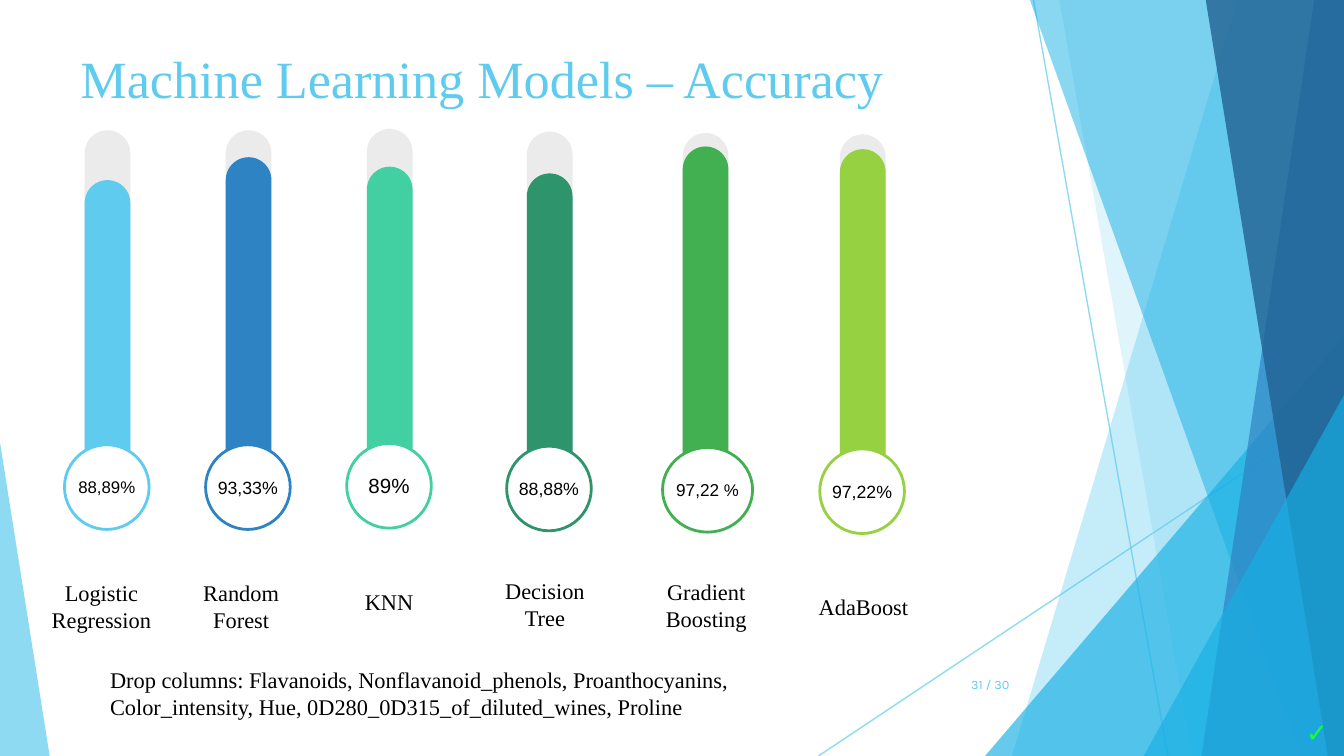
from dataclasses import dataclass

from lxml.etree import SubElement
from pptx import Presentation
from pptx.dml.color import RGBColor
from pptx.dml.fill import FillFormat
from pptx.enum.shapes import MSO_CONNECTOR, MSO_SHAPE
from pptx.enum.text import MSO_ANCHOR, MSO_AUTO_SIZE, PP_ALIGN
from pptx.oxml.ns import qn
from pptx.shapes.autoshape import Shape
from pptx.slide import Slide
from pptx.util import Inches, Pt

COLORS = {
    "sky": "5FCBEF", "cyan": "17B0E4", "blue": "2E83C3", "navy": "226292",
    "mint": "42D0A2", "forest": "2E946B", "green": "42B051", "lime": "96D141",
    "track": "EBEBEB", "white": "FFFFFF", "black": "000000", "check": "13FF3A",
}
SERIF, SANS, BRAND = "Times New Roman", "Arial", "Karla"
SLIDE_WIDTH = 10
SLIDE_HEIGHT = SLIDE_WIDTH * 9 / 16
BAND_TOP = -0.01
BAR_WIDTH, TRACK_HEIGHT = 0.34, 2.76
CIRCLE_SIZE, CIRCLE_DROP, LABEL_DROP = 0.63, 2.34, 3.17


@dataclass
class Band:
    """Decoration between a slanted left side and the right slide edge."""
    top_x: float
    bottom_x: float
    color: str
    opacity: int


@dataclass
class Triangle:
    left: float
    top: float
    width: float
    color: str
    opacity: int
    apex: int


@dataclass
class Gauge:
    left: float
    top: float
    level_top: float
    color: str
    value: tuple[tuple[str, float], ...]
    label: str
    label_left: float
    label_width: float
    label_height: float = 0.93
    label_bottom_inset: float = 0.34
    circle_width: float = CIRCLE_SIZE


DECORATIONS = [
    Band(9.21, 7.53, "sky", 36),
    Band(7.88, 8.87, "sky", 20),
    Triangle(7.33, 2.5, 2.67, "cyan", 66, 1),
    Band(7.66, 9.68, "cyan", 50),
    Band(9.78, 8.94, "blue", 70),
    Band(8.97, 9.88, "navy", 80),
    Triangle(8.51, 2.94, 1.49, "cyan", 66, 1),
    Triangle(0, 3.29, 0.37, "sky", 70, 0),
]

GAUGES = [
    Gauge(5.08, 0.99, 1.09, "green", (("97,22", 9.2), (" %", 9)),
          "Gradient Boosting", 4.75, 1.01, circle_width=0.67),
    Gauge(2.73, 0.96, 1.24, "mint", (("89%", 11),), "KNN", 2.36, 1.07, 0.7, 0.1),
    Gauge(3.92, 0.98, 1.29, "forest", (("88,88%", 9.5),), "Decision Tree", 3.53, 1.05),
    Gauge(0.63, 0.97, 1.34, "sky", (("88,89%", 9),),
          "Logistic Regression", 0.22, 1.07, 0.94, 0.3),
    Gauge(1.68, 0.97, 1.17, "blue", (("93,33%", 9.5),),
          "Random Forest", 1.26, 1.07, 0.94, 0.3),
    Gauge(6.25, 1, 1.11, "lime", (("97,22%", 9.5),), "AdaBoost", 5.92, 1.01),
]


def rgb(name: str) -> RGBColor:
    return RGBColor.from_string(COLORS[name])


def paint(fill: FillFormat, color: str) -> None:
    fill.solid()
    fill.fore_color.rgb = rgb(color)


def set_opacity(element, percent: int) -> None:
    """Make the first solid colour below the element translucent."""
    color = next(element.iter(qn("a:srgbClr")))
    SubElement(color, qn("a:alpha")).set("val", str(percent * 1000))


def add_filled(slide: Slide, kind: MSO_SHAPE, left: float, top: float,
               width: float, height: float, color: str) -> Shape:
    shape = slide.shapes.add_shape(
        kind, Inches(left), Inches(top), Inches(width), Inches(height))
    shape.shadow.inherit = False
    shape.line.fill.background()
    paint(shape.fill, color)
    return shape


def write(shape: Shape, runs: tuple[tuple[str, float], ...], font: str,
          color: str = "black", align: PP_ALIGN = PP_ALIGN.LEFT,
          bold: bool = False) -> None:
    paragraph = shape.text_frame.paragraphs[0]
    paragraph.alignment = align
    for text, size in runs:
        run = paragraph.add_run()
        run.text = text
        run.font.name = font
        run.font.size = Pt(size)
        run.font.bold = bold
        run.font.color.rgb = rgb(color)


def add_text_box(slide: Slide, left: float, top: float, width: float, height: float,
                 vertical_inset: float = 0.1,
                 anchor: MSO_ANCHOR = MSO_ANCHOR.TOP) -> Shape:
    box = slide.shapes.add_textbox(
        Inches(left), Inches(top), Inches(width), Inches(height))
    frame = box.text_frame
    frame.word_wrap = True
    frame.vertical_anchor = anchor
    frame.margin_top = frame.margin_bottom = Inches(vertical_inset)
    return box


def add_thin_line(slide: Slide, x1: float, y1: float, x2: float, y2: float) -> None:
    line = slide.shapes.add_connector(
        MSO_CONNECTOR.STRAIGHT, Inches(x1), Inches(y1), Inches(x2), Inches(y2))
    line.line.width = Pt(0.75)
    line.line.color.rgb = rgb("sky")
    properties = line._element.spPr
    set_opacity(properties, 70)
    SubElement(properties, qn("a:effectLst"))


def add_decoration(slide: Slide, item: Band | Triangle) -> None:
    if isinstance(item, Triangle):
        shape = add_filled(slide, MSO_SHAPE.ISOSCELES_TRIANGLE, item.left, item.top,
                           item.width, SLIDE_HEIGHT - item.top, item.color)
        shape.adjustments[0] = item.apex
    else:
        builder = slide.shapes.build_freeform(Inches(item.top_x), Inches(BAND_TOP))
        corners = [(SLIDE_WIDTH, BAND_TOP), (SLIDE_WIDTH, SLIDE_HEIGHT),
                   (item.bottom_x, SLIDE_HEIGHT)]
        builder.add_line_segments([(Inches(x), Inches(y)) for x, y in corners])
        shape = builder.convert_to_shape()
        shape.shadow.inherit = False
        shape.line.fill.background()
        paint(shape.fill, item.color)
    set_opacity(shape._element.spPr, item.opacity)


def add_gauge(slide: Slide, gauge: Gauge) -> None:
    bottom = gauge.top + TRACK_HEIGHT
    for top, color in ((gauge.top, "track"), (gauge.level_top, gauge.color)):
        bar = add_filled(slide, MSO_SHAPE.ROUNDED_RECTANGLE, gauge.left, top,
                         BAR_WIDTH, bottom - top, color)
        bar.adjustments[0] = 0.5

    circle = add_filled(slide, MSO_SHAPE.OVAL, gauge.left - 0.15, gauge.top + CIRCLE_DROP,
                        gauge.circle_width, CIRCLE_SIZE, "white")
    circle.line.color.rgb = rgb(gauge.color)
    circle.line.width = Pt(1.5)
    frame = circle.text_frame
    frame.word_wrap = False
    frame.vertical_anchor = MSO_ANCHOR.MIDDLE
    frame.margin_left = frame.margin_right = 0
    frame.margin_top = frame.margin_bottom = Inches(0.1)
    write(circle, gauge.value, SANS, align=PP_ALIGN.CENTER)

    label = add_text_box(slide, gauge.label_left, gauge.top + LABEL_DROP,
                         gauge.label_width, gauge.label_height, anchor=MSO_ANCHOR.MIDDLE)
    label.text_frame.margin_bottom = Inches(gauge.label_bottom_inset)
    write(label, ((gauge.label, 12),), SERIF, align=PP_ALIGN.CENTER)


def main() -> None:
    presentation = Presentation()
    presentation.slide_width = Inches(SLIDE_WIDTH)
    presentation.slide_height = Inches(SLIDE_HEIGHT)
    slide = presentation.slides.add_slide(presentation.slide_layouts[6])

    add_thin_line(slide, 7.69, 0, 8.69, SLIDE_HEIGHT)
    add_thin_line(slide, SLIDE_WIDTH, 3.02, 6.09, SLIDE_HEIGHT)
    for item in DECORATIONS:
        add_decoration(slide, item)

    page_number = add_text_box(slide, 7.05, 4.96, 0.56, 0.3)
    page_number.text_frame.margin_top = Inches(0.14)
    write(page_number, (("31 / 30", 6.8),), BRAND, "sky", PP_ALIGN.RIGHT)

    for gauge in GAUGES:
        add_gauge(slide, gauge)

    check = add_text_box(slide, 9.62, 5.28, 0.38, 0.34, 0.05)
    write(check, (("✓", 14),), BRAND, "check", bold=True)
    title = add_text_box(slide, 0.5, 0.12, 6.54, 0.91, anchor=MSO_ANCHOR.MIDDLE)
    write(title, (("Machine Learning Models – Accuracy", 28),), SERIF, "sky")
    dropped = add_text_box(slide, 0.72, 4.91, 5.71, 0.74, 0.05)
    write(dropped, (("Drop columns: Flavanoids, Nonflavanoid_phenols, Proanthocyanins, "
                     "Color_intensity, Hue, 0D280_0D315_of_diluted_wines, Proline", 12),), SERIF)
    for box in (check, dropped):
        box.text_frame.auto_size = MSO_AUTO_SIZE.SHAPE_TO_FIT_TEXT

    presentation.save("out.pptx")


if __name__ == "__main__":
    main()
